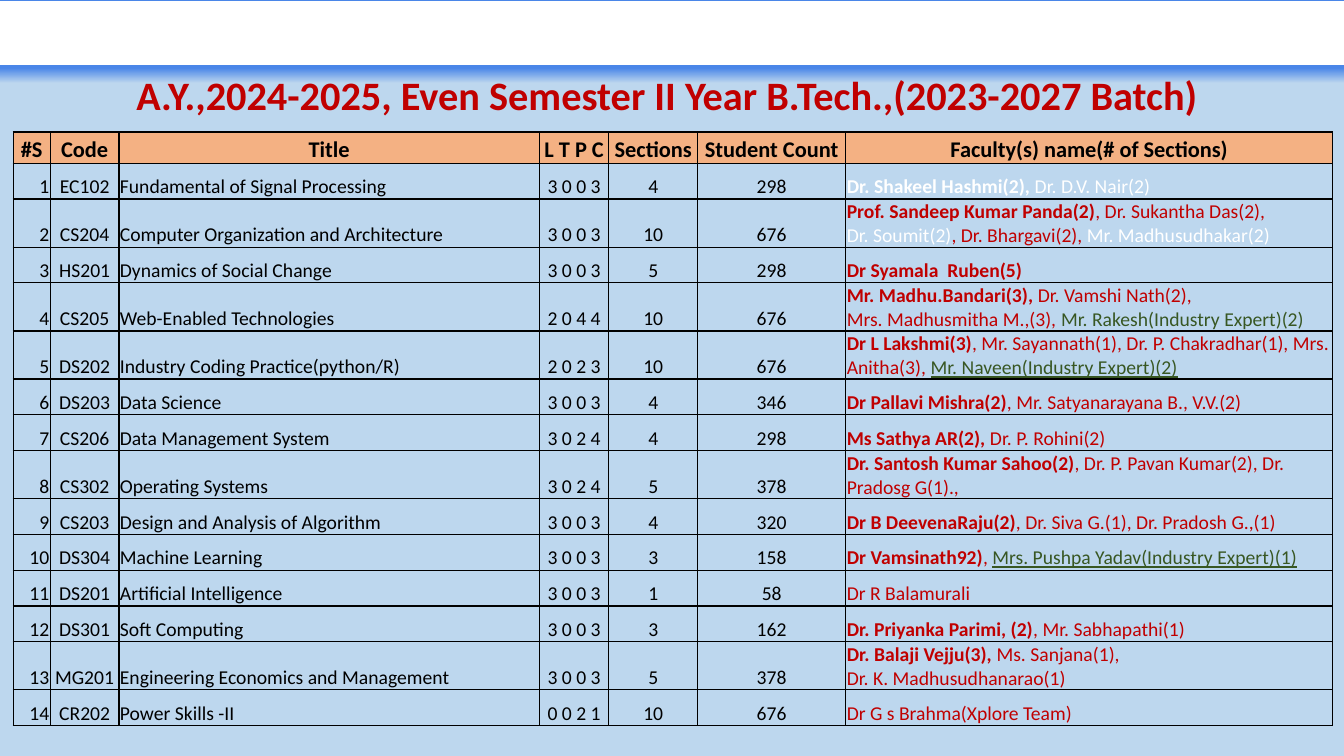
from lxml.etree import SubElement
from pptx import Presentation
from pptx.dml.color import RGBColor
from pptx.enum.shapes import MSO_SHAPE as Shape
from pptx.enum.text import MSO_ANCHOR as Anchor, PP_ALIGN as Align
from pptx.oxml.ns import qn
from pptx.util import Inches, Pt

BLACK = RGBColor(0x00, 0x00, 0x00)
WHITE = RGBColor(0xFF, 0xFF, 0xFF)
RED = RGBColor(0xC0, 0x00, 0x00)
GREEN = RGBColor(0x38, 0x57, 0x23)
ORANGE = RGBColor(0xF4, 0xB1, 0x83)
SKY = RGBColor(0xBD, 0xD7, 0xEE)
BLUE = RGBColor(0x4A, 0x86, 0xE8)

LEAD = dict(color=RED, bold=True)
STAFF = dict(color=RED)
OPEN_LEAD = dict(color=WHITE, bold=True)
OPEN = dict(color=WHITE)
EXPERT = dict(color=GREEN)
EXPERT_LINED = dict(color=GREEN, underline=True)

HEADINGS = ["#S", "Code", "Title", "L T P C", "Sections", "Student Count",
            "Faculty(s) name(# of Sections)"]
WIDTHS = [0.37, 0.68, 4.17, 0.69, 0.88, 1.47, 4.83]
ALIGNS = [Align.RIGHT, Align.CENTER, Align.LEFT, Align.CENTER, Align.CENTER,
          Align.CENTER, Align.LEFT]
HEADER_HEIGHT = 0.31
BODY_HEIGHT = 4.97

COURSES = [
    ("EC102", "Fundamental of Signal Processing", "3 0 0 3", 4, 298,
     [[("Dr. Shakeel Hashmi(2), ", OPEN_LEAD), ("Dr. D.V. Nair(2)", OPEN)]]),
    ("CS204", "Computer Organization and Architecture", "3 0 0 3", 10, 676,
     [[("Prof. Sandeep Kumar Panda(2)", LEAD), (", Dr. Sukantha Das(2),", STAFF)],
      [("Dr. Soumit(2)", OPEN), (", Dr. Bhargavi(2), ", STAFF),
       ("Mr. Madhusudhakar(2)", OPEN)]]),
    ("HS201", "Dynamics of Social Change", "3 0 0 3", 5, 298,
     [[("Dr Syamala  Ruben(5)", LEAD)]]),
    ("CS205", "Web-Enabled Technologies", "2 0 4 4", 10, 676,
     [[("Mr. Madhu.Bandari(3), ", LEAD), ("Dr. Vamshi Nath(2),", STAFF)],
      [("Mrs. Madhusmitha M.,(3), ", STAFF),
       ("Mr. Rakesh(Industry Expert)(2)", EXPERT)]]),
    ("DS202", "Industry Coding Practice(python/R)", "2 0 2 3", 10, 676,
     [[("Dr L Lakshmi(3)", LEAD),
       (", Mr. Sayannath(1), Dr. P. Chakradhar(1), Mrs. Anitha(3), ", STAFF),
       ("Mr. Naveen(Industry Expert)(2)", EXPERT_LINED)]]),
    ("DS203", "Data Science", "3 0 0 3", 4, 346,
     [[("Dr Pallavi Mishra(2)", LEAD), (", Mr. Satyanarayana B., V.V.(2)", STAFF)]]),
    ("CS206", "Data Management System", "3 0 2 4", 4, 298,
     [[("Ms Sathya AR(2), ", LEAD), ("Dr. P. Rohini(2)", STAFF)]]),
    ("CS302", "Operating Systems", "3 0 2 4", 5, 378,
     [[("Dr. Santosh Kumar Sahoo(2)", LEAD),
       (", Dr. P. Pavan Kumar(2), Dr. Pradosg G(1).,", STAFF)]]),
    ("CS203", "Design and Analysis of Algorithm", "3 0 0 3", 4, 320,
     [[("Dr B DeevenaRaju(2)", LEAD),
       (", Dr. Siva G.(1), Dr. Pradosh G.,(1)", STAFF)]]),
    ("DS304", "Machine Learning", "3 0 0 3", 3, 158,
     [[("Dr Vamsinath92)", LEAD), (", ", STAFF),
       ("Mrs. Pushpa Yadav(Industry Expert)(1)", EXPERT_LINED)]]),
    ("DS201", "Artificial Intelligence", "3 0 0 3", 1, 58,
     [[("Dr R Balamurali", STAFF)]]),
    ("DS301", "Soft Computing", "3 0 0 3", 3, 162,
     [[("Dr. Priyanka Parimi, (2)", LEAD), (", Mr. Sabhapathi(1)", STAFF)]]),
    ("MG201", "Engineering Economics and Management", "3 0 0 3", 5, 378,
     [[("Dr. Balaji Vejju(3), ", LEAD), ("Ms. Sanjana(1),", STAFF)],
      [("Dr. K. Madhusudhanarao(1)", STAFF)]]),
    ("CR202", "Power Skills -II", "0 0 2 1", 10, 676,
     [[("Dr G s Brahma(Xplore Team)", STAFF)]]),
]


def add_span(para, text, size=14, color=BLACK, bold=False, underline=False):
    span = para.add_run()
    span.text = text
    span.font.name = "Calibri"
    span.font.size = Pt(size)
    span.font.color.rgb = color
    span.font.bold = bold
    span.font.underline = underline


class SlideBuilder:
    def __init__(self, page):
        self.page = page

    def background(self):
        fill = self.page.background.fill
        fill.gradient()
        fill.gradient_angle = 270
        for stop, color, position in zip(fill.gradient_stops, (BLUE, SKY), (0.09, 0.11)):
            stop.color.rgb = color
            stop.position = position

    def title(self, text, left, top, width, height):
        box = self.page.shapes.add_textbox(
            Inches(left), Inches(top), Inches(width), Inches(height))
        frame = box.text_frame
        frame.word_wrap = True
        frame.vertical_anchor = Anchor.MIDDLE
        para = frame.paragraphs[0]
        para.alignment = Align.CENTER
        para.line_spacing = 0.9
        add_span(para, text, size=28.8, color=RED, bold=True)

    def banner(self, left, top, width, height):
        shape = self.page.shapes.add_shape(
            Shape.RECTANGLE, Inches(left), Inches(top), Inches(width), Inches(height))
        shape.shadow.inherit = False
        shape.fill.solid()
        shape.fill.fore_color.rgb = WHITE
        shape.line.color.rgb = WHITE
        shape.line.width = Pt(1)

    def borders(self, cell):
        properties = cell._tc.get_or_add_tcPr()
        for side in ("a:lnL", "a:lnR", "a:lnT", "a:lnB"):
            line = SubElement(properties, qn(side), w=str(Pt(1)))
            fill = SubElement(line, qn("a:solidFill"))
            SubElement(fill, qn("a:srgbClr"), val=str(BLACK))

    def cell(self, cell, lines, align, fill=None):
        cell.margin_left = cell.margin_right = cell.margin_top = Inches(0.01)
        cell.margin_bottom = 0
        cell.vertical_anchor = Anchor.BOTTOM
        self.borders(cell)
        if fill is None:
            cell.fill.background()
        else:
            cell.fill.solid()
            cell.fill.fore_color.rgb = fill
        frame = cell.text_frame
        for index, line in enumerate(lines):
            para = frame.add_paragraph() if index else frame.paragraphs[0]
            para.alignment = align
            for text, style in line:
                add_span(para, text, **style)

    def course_table(self, left, top):
        table = self.page.shapes.add_table(
            len(COURSES) + 1, len(HEADINGS), Inches(left), Inches(top),
            Inches(sum(WIDTHS)), Inches(HEADER_HEIGHT + BODY_HEIGHT)).table
        table.first_row = table.horz_banding = False
        for column, width in zip(table.columns, WIDTHS):
            column.width = Inches(width)
        for row in table.rows:
            row.height = Inches(BODY_HEIGHT / len(COURSES))
        table.rows[0].height = Inches(HEADER_HEIGHT)
        for column, heading in enumerate(HEADINGS):
            self.cell(table.cell(0, column), [[(heading, dict(size=16, bold=True))]],
                      Align.CENTER, ORANGE)
        for number, (*facts, faculty) in enumerate(COURSES, 1):
            contents = [[[(str(fact), {})]] for fact in (number, *facts)] + [faculty]
            for column, (lines, align) in enumerate(zip(contents, ALIGNS)):
                self.cell(table.cell(number, column), lines, align)


def main():
    deck = Presentation()
    deck.slide_width = Inches(13.33)
    deck.slide_height = Inches(7.5)
    builder = SlideBuilder(deck.slides.add_slide(deck.slide_layouts[6]))
    builder.background()
    builder.title("A.Y.,2024-2025, Even Semester II Year B.Tech.,(2023-2027 Batch) ",
                  0.1, 0.7, 13.13, 0.54)
    builder.banner(0, 0.02, 13.33, 0.62)
    builder.course_table(0.13, 1.31)
    deck.save("out.pptx")


if __name__ == "__main__":
    main()
